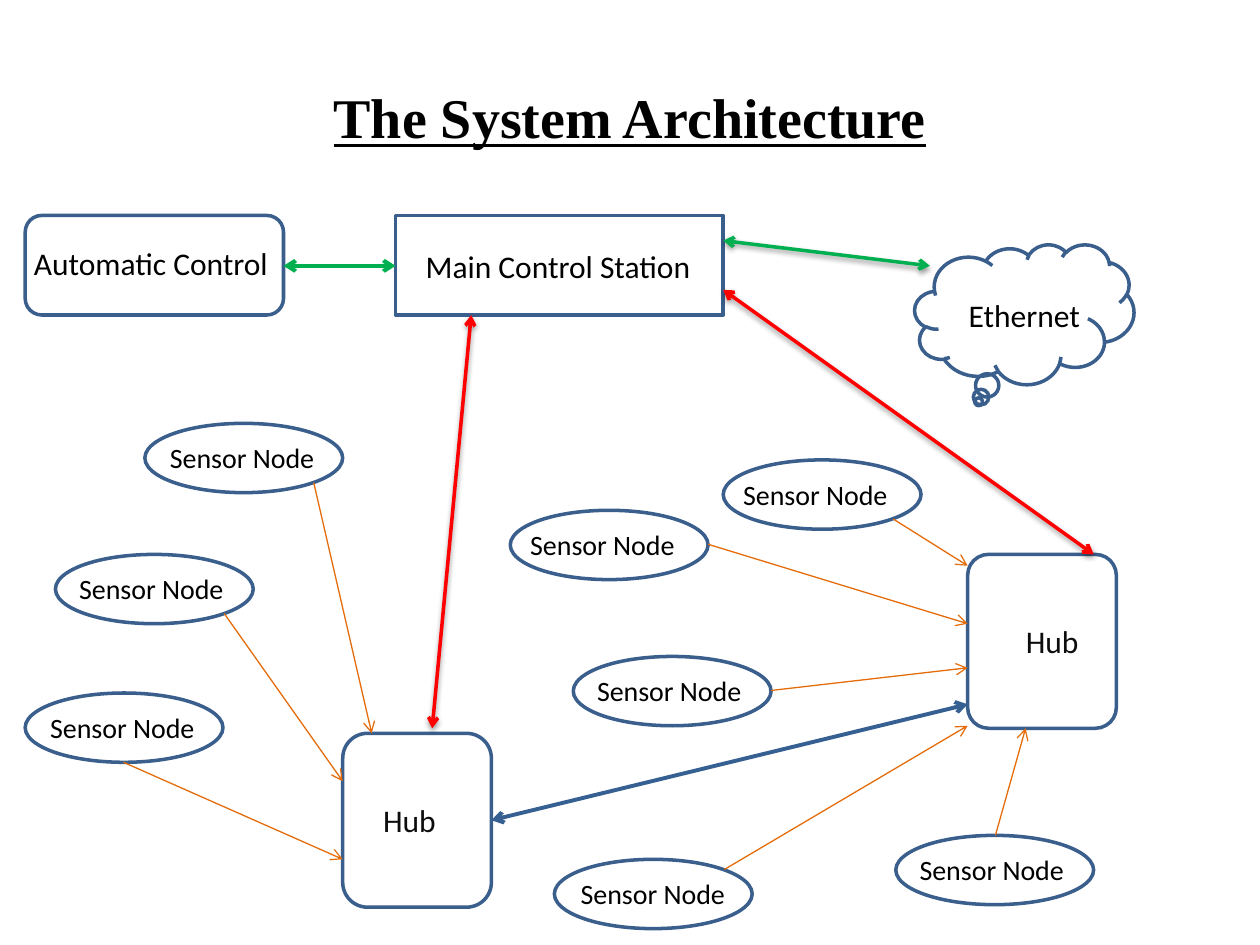
from pptx import Presentation
from pptx.dml.color import RGBColor
from pptx.enum.shapes import MSO_CONNECTOR, MSO_SHAPE
from pptx.enum.text import MSO_ANCHOR, MSO_AUTO_SIZE, PP_ALIGN
from pptx.oxml import parse_xml
from pptx.oxml.ns import nsdecls
from pptx.util import Inches, Pt

ELLIPSE = MSO_SHAPE.OVAL
ROUNDED = MSO_SHAPE.ROUNDED_RECTANGLE
RECTANGLE = MSO_SHAPE.RECTANGLE
CLOUD = MSO_SHAPE.CLOUD_CALLOUT
STRAIGHT = MSO_CONNECTOR.STRAIGHT
CENTER = PP_ALIGN.CENTER
MIDDLE = MSO_ANCHOR.MIDDLE
FIT_SHAPE = MSO_AUTO_SIZE.SHAPE_TO_FIT_TEXT

BLACK = RGBColor(0x00, 0x00, 0x00)
DARK = RGBColor(0x0D, 0x0D, 0x0D)
OUTLINE = RGBColor(0x3A, 0x5F, 0x8C)
BLUE = RGBColor(0x37, 0x60, 0x92)
RED = RGBColor(0xFF, 0x00, 0x00)
GREEN = RGBColor(0x00, 0xB0, 0x50)
ORANGE = RGBColor(0xE4, 0x6C, 0x0A)

SENSOR_SIZE = (1.57, 0.55)
HUB_SIZE = (1.18, 1.38)

# Left and top of each sensor, and the distance to its label
SENSORS = [
    (4.4, 6.82, 0.11),
    (1.15, 3.36, 0.1),
    (0.44, 4.4, 0.09),
    (0.2, 5.5, 0.1),
    (5.74, 3.65, 0.06),
    (7.11, 6.63, 0.09),
    (4.55, 5.21, 0.09),
    (4.05, 4.05, 0.06),
]

SENSOR_LINKS = [
    ((7.09, 4.12), (7.68, 4.49)),
    ((5.62, 4.32), (7.68, 4.95)),
    ((6.12, 5.48), (7.68, 5.3)),
    ((5.75, 6.9), (7.68, 5.76)),
    ((7.9, 6.63), (8.14, 5.78)),
    ((2.49, 3.83), (2.95, 5.82)),
    ((1.78, 4.87), (2.72, 6.2)),
    ((0.98, 6.05), (2.72, 6.82)),
]

# Start, end, colour, width, shadow
TWO_WAY_LINKS = [
    ((3.74, 2.5), (3.43, 5.78), RED, 2, True),
    ((5.74, 2.3), (8.68, 4.4), RED, 2, True),
    ((5.74, 1.91), (7.38, 2.11), GREEN, 2, True),
    ((3.9, 6.51), (7.68, 5.59), BLUE, 2.25, False),
    ((2.25, 2.11), (3.14, 2.11), GREEN, 2.25, False),
]

SHADOW = (
    f'<a:effectLst {nsdecls("a")}>'
    '<a:outerShdw blurRad="40000" dist="20000" dir="5400000" rotWithShape="0">'
    '<a:srgbClr val="000000"><a:alpha val="38000"/></a:srgbClr>'
    '</a:outerShdw></a:effectLst>'
)
NO_EFFECT = f'<a:effectLst {nsdecls("a")}/>'


def format_text(frame, size, color, font="Calibri"):
    for para in frame.paragraphs:
        for span in para.runs:
            span.font.size = Pt(size)
            span.font.name = font
            span.font.color.rgb = color


def add_title(page, text):
    title = page.shapes.title
    title.left, title.top = Inches(0.5), Inches(0.3)
    title.width, title.height = Inches(9), Inches(1.25)
    frame = title.text_frame
    frame.text = text
    frame.vertical_anchor = MIDDLE
    para = frame.paragraphs[0]
    para.alignment = CENTER
    format_text(frame, 32, BLACK, "Times New Roman")
    para.runs[0].font.bold = True
    para.runs[0].font.underline = True


def add_outline(page, kind, left, top, width, height):
    box = page.shapes.add_shape(
        kind, Inches(left), Inches(top), Inches(width), Inches(height))
    box.shadow.inherit = False
    box.fill.background()
    box.line.color.rgb = OUTLINE
    box.line.width = Pt(2)
    return box


def add_label(page, text, left, top, width, height, size=18):
    label = page.shapes.add_textbox(
        Inches(left), Inches(top), Inches(width), Inches(height))
    frame = label.text_frame
    frame.text = text
    frame.word_wrap = False
    frame.auto_size = FIT_SHAPE
    format_text(frame, size, BLACK)


def add_hub(page, left, top, inset_left, inset_right):
    """Add a hub; unequal insets move its centred name sideways."""
    hub = add_outline(page, ROUNDED, left, top, *HUB_SIZE)
    frame = hub.text_frame
    frame.text = "Hub"
    frame.vertical_anchor = MIDDLE
    frame.margin_left, frame.margin_right = Inches(inset_left), Inches(inset_right)
    frame.paragraphs[0].alignment = CENTER
    format_text(frame, 18, DARK)
    return hub


def add_sensor(page, left, top, label_offset):
    add_outline(page, ELLIPSE, left, top, *SENSOR_SIZE)
    add_label(page, "Sensor Node", left + label_offset, top + 0.09, 1.37, 0.37, 16)


def add_arrow(page, start, end, color, width, two_way=False, shadow=False):
    arrow = page.shapes.add_connector(
        STRAIGHT, *(Inches(value) for value in (*start, *end)))
    arrow.line.color.rgb = color
    arrow.line.width = Pt(width)
    line = arrow.line._get_or_add_ln()
    for tag in ("headEnd", "tailEnd") if two_way else ("tailEnd",):
        line.append(parse_xml(f'<a:{tag} {nsdecls("a")} type="arrow"/>'))
    arrow._element.spPr.append(parse_xml(SHADOW if shadow else NO_EFFECT))


def main():
    deck = Presentation()
    deck.slide_width, deck.slide_height = Inches(10), Inches(7.5)
    page = deck.slides.add_slide(deck.slide_layouts[5])
    add_title(page, "The System Architecture")

    for sensor in SENSORS:
        add_sensor(page, *sensor)
    add_hub(page, 2.72, 5.82, 0.1, 0.22)
    right_hub = add_hub(page, 7.68, 4.4, 0.26, 0.1)
    right_hub.adjustments[0] = 0.14

    add_outline(page, RECTANGLE, 3.14, 1.71, 2.6, 0.79)
    add_label(page, "Main Control Station", 3.28, 1.91, 2.33, 0.4)
    add_outline(page, CLOUD, 7.26, 1.94, 1.74, 1.11)
    add_label(page, "Ethernet", 7.59, 2.3, 1.1, 0.4)
    add_outline(page, ROUNDED, 0.2, 1.71, 2.05, 0.79)
    add_label(page, "Automatic Control", 0.17, 1.89, 2.08, 0.4)

    for start, end in SENSOR_LINKS:
        add_arrow(page, start, end, ORANGE, 0.75)
    for start, end, color, width, shadow in TWO_WAY_LINKS:
        add_arrow(page, start, end, color, width, two_way=True, shadow=shadow)

    deck.save("out.pptx")


if __name__ == "__main__":
    main()
